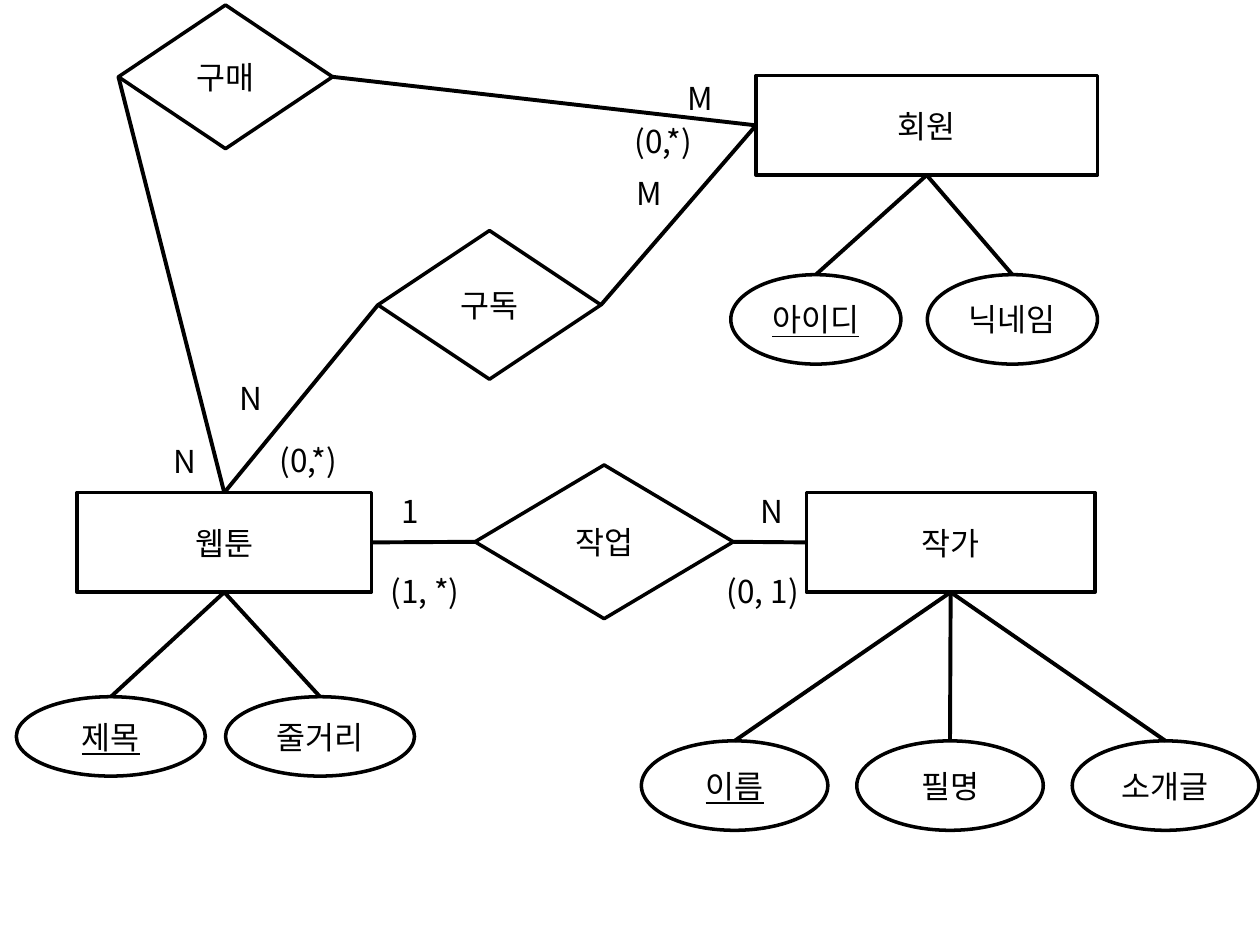
from lxml import etree
from pptx import Presentation
from pptx.dml.color import RGBColor
from pptx.enum.shapes import MSO_CONNECTOR, MSO_SHAPE
from pptx.enum.text import MSO_ANCHOR, MSO_AUTO_SIZE, PP_ALIGN
from pptx.oxml.ns import qn
from pptx.util import Inches, Pt

ENTITY = MSO_SHAPE.RECTANGLE
ATTRIBUTE = MSO_SHAPE.OVAL
RELATION = MSO_SHAPE.FLOWCHART_DECISION
STRAIGHT = MSO_CONNECTOR.STRAIGHT
MIDDLE = MSO_ANCHOR.MIDDLE
CENTER = PP_ALIGN.CENTER
FIT_SHAPE = MSO_AUTO_SIZE.SHAPE_TO_FIT_TEXT
TOP, LEFT, BOTTOM, RIGHT = range(4)  # connection sites

FONT = "Noto Sans CJK KR"
COLORS = {"ink": "000000", "paper": "FFFFFF"}
INK = RGBColor.from_string(COLORS["ink"])
PAPER = RGBColor.from_string(COLORS["paper"])


def write(box, text, underline=None):
    span = box.text_frame.paragraphs[0].add_run()
    span.text = text
    span.font.size = Pt(18)
    span.font.name = FONT
    span.font.color.rgb = INK
    span.font.underline = underline
    etree.SubElement(span.font._element, qn("a:ea"), typeface=FONT)


deck = Presentation()
deck.slide_width, deck.slide_height = Inches(10), Inches(7.5)
page = deck.slides.add_slide(deck.slide_layouts[6])

# Entities, relations and attributes: kind, name, left, top, width, height
nodes = [
    (ENTITY, "웹툰", 0.61, 3.91, 2.34, 0.79),
    (ENTITY, "작가", 6.4, 3.91, 2.29, 0.79),
    (ENTITY, "회원", 6, 0.6, 2.71, 0.79),
    (RELATION, "작업", 3.77, 3.69, 2.05, 1.22),
    (RELATION, "구독", 3, 1.83, 1.77, 1.18),
    (RELATION, "구매", 0.94, 0.04, 1.7, 1.14),
]

# Attribute rows: owner, names, left, top, width, height, step
attribute_rows = [
    ("웹툰", ["제목", "줄거리"], 0.13, 5.53, 1.5, 0.63, 1.66),
    ("작가", ["이름", "필명", "소개글"], 5.09, 5.88, 1.48, 0.71, 1.71),
    ("회원", ["아이디", "닉네임"], 5.8, 2.18, 1.35, 0.71, 1.56),
]

# Links between relations and entities: start, site, end, site
links = [
    ("작가", LEFT, "작업", RIGHT),
    ("작업", LEFT, "웹툰", RIGHT),
    ("회원", LEFT, "구독", RIGHT),
    ("구독", LEFT, "웹툰", TOP),
    ("회원", LEFT, "구매", RIGHT),
    ("구매", LEFT, "웹툰", TOP),
]

# The first attribute of each row is the underlined key
keys = [names[0] for _, names, *_ in attribute_rows]
for owner, names, left, top, width, height, step in attribute_rows:
    for i, name in enumerate(names):
        nodes.append((ATTRIBUTE, name, left + i * step, top, width, height))
        links.append((owner, BOTTOM, name, TOP))

shapes = {}
for kind, name, left, top, width, height in nodes:
    shape = page.shapes.add_shape(
        kind, Inches(left), Inches(top), Inches(width), Inches(height))
    shape.shadow.inherit = False
    shape.fill.solid()
    shape.fill.fore_color.rgb = PAPER
    shape.line.color.rgb = INK
    shape.line.width = Pt(2)
    shape.text_frame.vertical_anchor = MIDDLE
    shape.text_frame.paragraphs[0].alignment = CENTER
    write(shape, name, True if name in keys else None)
    shapes[name] = shape

# Connectors
for start, start_site, end, end_site in links:
    link = page.shapes.add_connector(STRAIGHT, 0, 0, 0, 0)
    link.begin_connect(shapes[start], start_site)
    link.end_connect(shapes[end], end_site)
    link.line.color.rgb = INK
    link.line.width = Pt(2.25)
    etree.SubElement(link._element.spPr, qn("a:effectLst"))

# Cardinality labels: text, left, top, width, wrap
labels = [
    ("1", 3.09, 3.86, 0.34, False),
    ("N", 1.8, 2.96, 0.39, False),
    ("M", 4.95, 1.33, 0.43, False),
    ("N", 1.28, 3.46, 0.39, False),
    ("M", 5.36, 0.58, 0.43, False),
    ("N", 5.94, 3.86, 0.39, False),
    ("(0,*)", 4.94, 0.92, 0.84, True),
    ("(0,*)", 2.12, 3.45, 0.84, True),
    ("(0, 1)", 5.67, 4.49, 0.89, True),
    ("(1, *)", 3, 4.49, 0.89, True),
]
for text, left, top, width, wrap in labels:
    box = page.shapes.add_textbox(
        Inches(left), Inches(top), Inches(width), Inches(0.4))
    box.text_frame.word_wrap = wrap
    box.text_frame.auto_size = FIT_SHAPE
    write(box, text)

deck.save("out.pptx")
